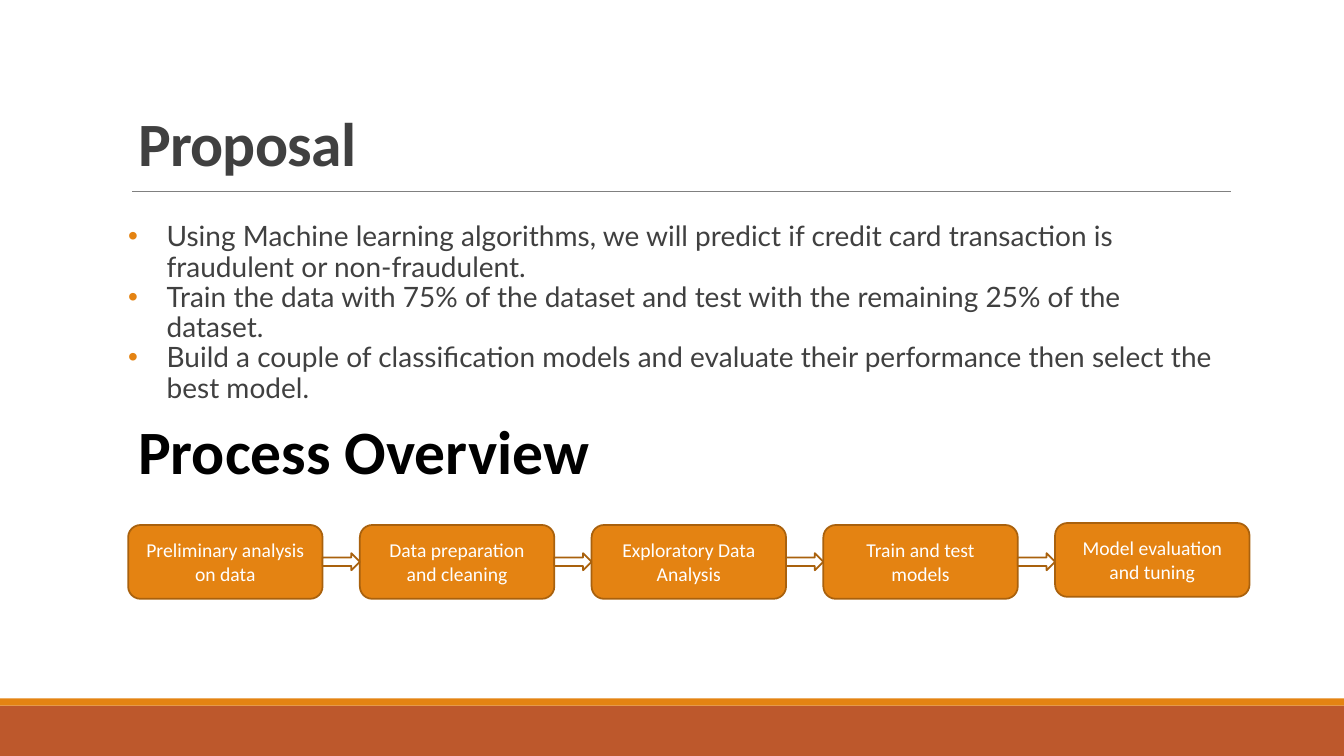
from dataclasses import dataclass

from lxml.etree import SubElement
from pptx import Presentation
from pptx.dml.color import RGBColor
from pptx.enum.shapes import MSO_CONNECTOR, MSO_SHAPE
from pptx.enum.text import MSO_ANCHOR, PP_ALIGN
from pptx.oxml.ns import qn
from pptx.util import Cm, Pt

ORANGE, RUST, BROWN = "E48312", "BD582C", "A9610D"
DARK, GREY, BLACK, WHITE = "404040", "808080", "000000", "FFFFFF"

SLIDE_WIDTH, SLIDE_HEIGHT = 33.87, 19.05
LEFT = 3.23
STEP_WIDTH, STEP_HEIGHT, STEP_PITCH = 4.9, 1.86, 5.84
ARROW_TOP, ARROW_HEIGHT = 13.94, 0.43
BULLET_INDENT = 0.97


@dataclass
class Heading:
    text: str
    top: float
    color: str
    line_spacing: float
    character_spacing: int = 0  # hundredths of a point


@dataclass
class Step:
    text: str
    top: float = 13.23


HEADINGS = [
    Heading("Proposal", 2.39, DARK, 0.85, -50),
    Heading("Process Overview", 10.16, BLACK, 0.9),
]
BULLETS = [
    "Using Machine learning algorithms, we will predict if credit card transaction is "
    "fraudulent or non-fraudulent.",
    "Train the data with 75% of the dataset and test with the remaining 25% of the dataset.",
    "Build a couple of classification models and evaluate their performance then select "
    "the best model.",
]
STEPS = [
    Step("Preliminary analysis on data"),
    Step("Data preparation and cleaning"),
    Step("Exploratory Data Analysis"),
    Step("Train and test models"),
    Step("Model evaluation and tuning", 13.18),
]


def rgb(color: str) -> RGBColor:
    return RGBColor.from_string(color)


def format_runs(paragraph, name: str, size: float, color: str, bold: bool = False) -> None:
    for run in paragraph.runs:
        run.font.name = name
        run.font.size = Pt(size)
        run.font.bold = bold
        run.font.color.rgb = rgb(color)


def add_box(slide, kind, left: float, top: float, width: float, height: float,
            fill: str, line: str = ""):
    shape = slide.shapes.add_shape(kind, Cm(left), Cm(top), Cm(width), Cm(height))
    shape.shadow.inherit = False
    shape.fill.solid()
    shape.fill.fore_color.rgb = rgb(fill)
    if line:
        shape.line.color.rgb = rgb(line)
        shape.line.width = Pt(1.25)
    else:
        shape.line.fill.background()
    return shape


def add_text_frame(slide, top: float, width: float, height: float):
    text_box = slide.shapes.add_textbox(Cm(LEFT), Cm(top), Cm(width), Cm(height))
    text_box.text_frame.word_wrap = True
    return text_box.text_frame


def add_heading(slide, heading: Heading) -> None:
    text_frame = add_text_frame(slide, heading.top, 30.61, 2.26)
    text_frame.vertical_anchor = MSO_ANCHOR.BOTTOM
    text_frame.text = heading.text
    paragraph = text_frame.paragraphs[0]
    paragraph.line_spacing = heading.line_spacing
    format_runs(paragraph, "Calibri", 44, heading.color, bold=True)
    if heading.character_spacing:
        properties = paragraph.runs[0]._r.get_or_add_rPr()
        properties.set("spc", str(heading.character_spacing))


def add_bullets(slide, texts: list[str]) -> None:
    text_frame = add_text_frame(slide, 5.49, 27.36, 4.62)
    text_frame.margin_left = text_frame.margin_right = 0
    text_frame.text = "\n".join(texts)
    for paragraph in text_frame.paragraphs:
        paragraph.line_spacing = 0.9
        format_runs(paragraph, "Lato", 20, DARK)
        properties = paragraph._p.get_or_add_pPr()
        properties.set("marL", str(Cm(BULLET_INDENT)))
        properties.set("indent", str(-Cm(BULLET_INDENT)))
        bullet_color = SubElement(properties, qn("a:buClr"))
        SubElement(bullet_color, qn("a:srgbClr"), val=ORANGE)
        SubElement(properties, qn("a:buFont"), typeface="Arial")
        SubElement(properties, qn("a:buChar"), char="•")


def add_step(slide, step: Step, left: float) -> None:
    shape = add_box(slide, MSO_SHAPE.ROUNDED_RECTANGLE, left, step.top,
                    STEP_WIDTH, STEP_HEIGHT, ORANGE, BROWN)
    text_frame = shape.text_frame
    text_frame.word_wrap = True
    text_frame.vertical_anchor = MSO_ANCHOR.MIDDLE
    text_frame.text = step.text
    paragraph = text_frame.paragraphs[0]
    paragraph.alignment = PP_ALIGN.CENTER
    format_runs(paragraph, "Calibri", 14, WHITE)


def add_rule(slide) -> None:
    rule = slide.shapes.add_connector(MSO_CONNECTOR.STRAIGHT,
                                      Cm(3.33), Cm(4.82), Cm(31.01), Cm(4.82))
    rule.line.color.rgb = rgb(GREY)
    rule.line.width = Pt(0.5)
    SubElement(rule._element.spPr, qn("a:effectLst"))


def main() -> None:
    presentation = Presentation()
    presentation.slide_width = Cm(SLIDE_WIDTH)
    presentation.slide_height = Cm(SLIDE_HEIGHT)
    slide = presentation.slides.add_slide(presentation.slide_layouts[6])

    # Footer bands and title rule
    add_box(slide, MSO_SHAPE.RECTANGLE, 0, 17.78, SLIDE_WIDTH, 1.27, RUST)
    add_box(slide, MSO_SHAPE.RECTANGLE, 0, 17.6, SLIDE_WIDTH, 0.18, ORANGE)
    add_rule(slide)

    # Headings and proposal points
    for heading in HEADINGS:
        add_heading(slide, heading)
    add_bullets(slide, BULLETS)

    # Process steps, with an arrow in each gap
    step_lefts = [LEFT + index * STEP_PITCH for index in range(len(STEPS))]
    for step, left in zip(STEPS, step_lefts):
        add_step(slide, step, left)
    for left in step_lefts[:-1]:
        add_box(slide, MSO_SHAPE.RIGHT_ARROW, left + STEP_WIDTH, ARROW_TOP,
                STEP_PITCH - STEP_WIDTH, ARROW_HEIGHT, WHITE, BROWN)

    presentation.save("out.pptx")


if __name__ == "__main__":
    main()
